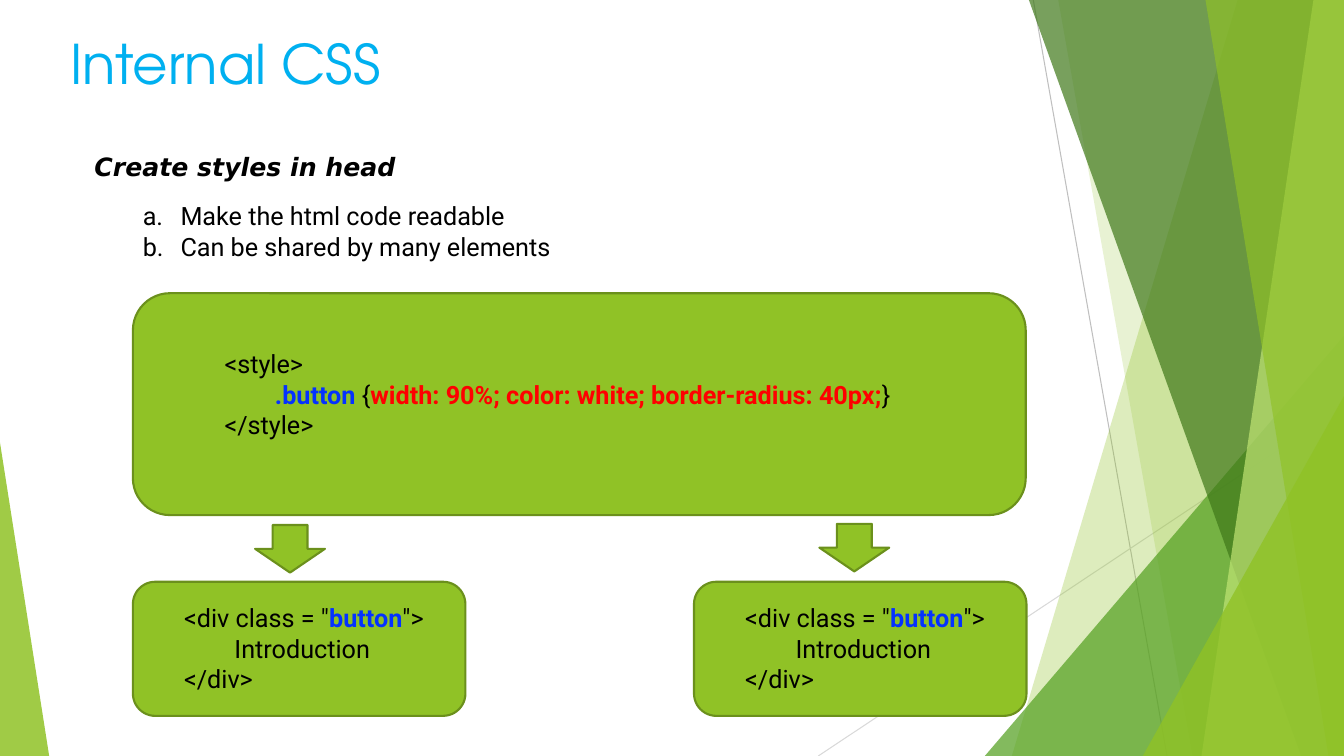
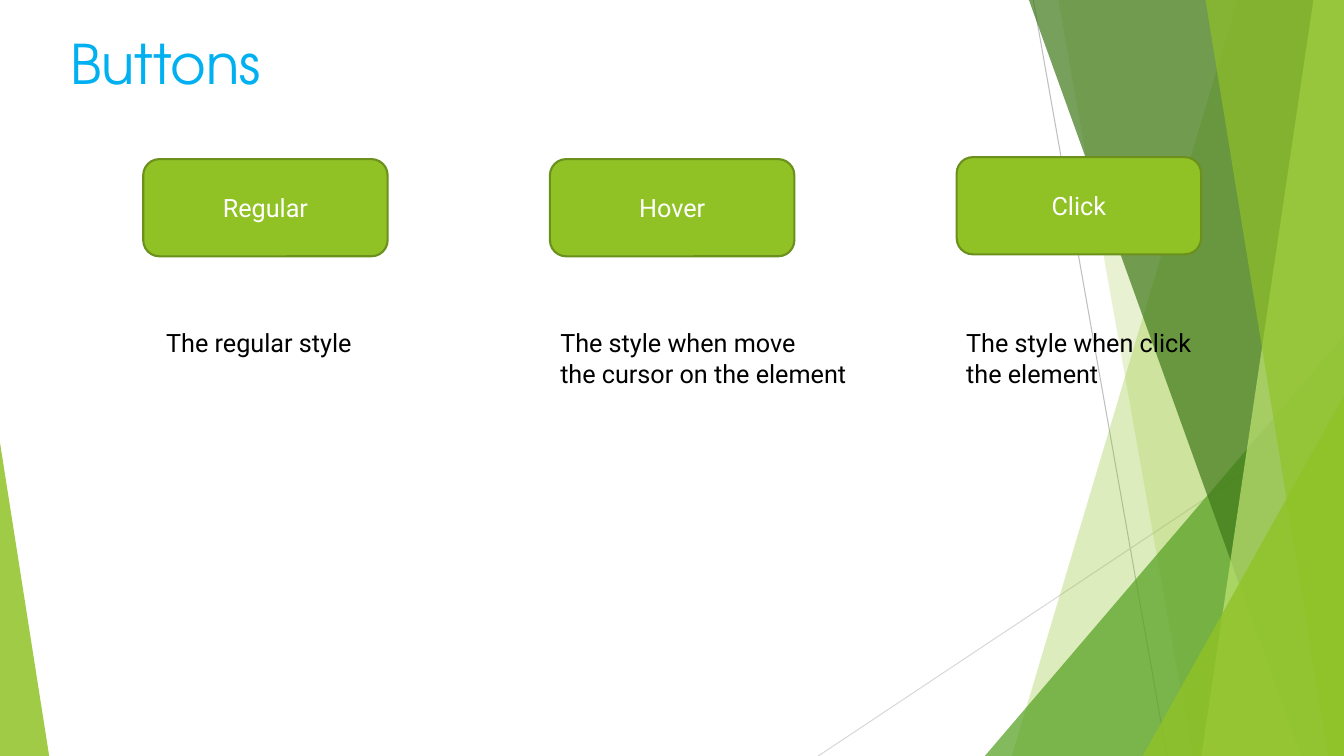
from lxml import etree
from pptx import Presentation
from pptx.dml.color import RGBColor
from pptx.enum.shapes import MSO_CONNECTOR, MSO_SHAPE
from pptx.enum.text import MSO_ANCHOR, PP_ALIGN
from pptx.oxml.ns import qn
from pptx.util import Cm, Pt

ROUND = MSO_SHAPE.ROUNDED_RECTANGLE
ARROW = MSO_SHAPE.DOWN_ARROW
WEDGE = MSO_SHAPE.ISOSCELES_TRIANGLE
STRAIGHT = MSO_CONNECTOR.STRAIGHT
TOP, MIDDLE = MSO_ANCHOR.TOP, MSO_ANCHOR.MIDDLE
LEFT, CENTER = PP_ALIGN.LEFT, PP_ALIGN.CENTER

WIDE, HIGH = 33.87, 19.05
TAB = 1.27
COLORS = {
    "lime": "90C226", "edge": "6B901C", "leaf": "54A021", "moss": "3F7819",
    "pale": "C0E474", "gray": "BFBFBF", "mist": "D9D9D9", "sky": "00B0F0",
    "blue": "0432FF", "red": "FF0000", "black": "000000", "white": "FFFFFF",
}
RGB = {name: RGBColor.from_string(code) for name, code in COLORS.items()}


def paint(shape, fill="lime", edge=None, alpha=100):
    """Fill a shape, with an outline or some transparency."""
    shape.shadow.inherit = False
    shape.fill.solid()
    shape.fill.fore_color.rgb = RGB[fill]
    if alpha < 100:
        tint = shape._element.spPr.find(".//" + qn("a:srgbClr"))
        etree.SubElement(tint, qn("a:alpha"), val=str(alpha * 1000))
    if edge:
        shape.line.color.rgb = RGB[edge]
        shape.line.width = Pt(1.5)
    else:
        shape.line.fill.background()


def write(shape, lines, size=18, font="Roboto", color="black", bold=False,
          italic=False, align=LEFT, anchor=TOP, inset=(), letters=False):
    """Write lines of runs; a (text, color) run is bold, inset lines are indented."""
    frame = shape.text_frame
    frame.word_wrap = True
    frame.vertical_anchor = anchor
    for i, line in enumerate(lines):
        para = frame.add_paragraph() if i else frame.paragraphs[0]
        para.alignment = align
        props = para._p.get_or_add_pPr()
        if i in inset:
            props.set("marL", str(Cm(TAB)))
        if letters:
            props.set("marL", str(Cm(0.95)))
            props.set("indent", str(-Cm(0.95)))
            etree.SubElement(props, qn("a:buFont"), typeface=font)
            etree.SubElement(props, qn("a:buAutoNum"), type="alphaLcPeriod")
        for part in [line] if isinstance(line, str) else line:
            plain = isinstance(part, str)
            run = para.add_run()
            run.text = part if plain else part[0]
            run.font.size = Pt(size)
            run.font.name = font
            run.font.bold = bold if plain else True
            run.font.italic = italic
            run.font.color.rgb = RGB[color if plain else part[1]]


deck = Presentation()
deck.slide_width, deck.slide_height = Cm(WIDE), Cm(HIGH)

# Backdrop: lines, then blades (top x, foot x) and wedges (x, y, width, peak)
RAYS = [((26.04, 0, 29.41, HIGH), "gray"), ((WIDE, 10.24, 20.62, HIGH), "mist")]
SHARDS = [
    ((31.19, 25.5), "lime", 30),
    ((26.67, 30.05), "lime", 20),
    ((24.82, 8.46, 9.05, 1), "leaf", 72),
    ((25.93, 32.79), "moss", 70),
    ((33.1, 30.28), "pale", 70),
    ((30.38, 33.48), "lime", 65),
    ((28.8, 9.98, 5.07, 1), "lime", 80),
    ((0, 11.15, 1.24, 0), "lime", 85),
]

# Backdrop and title of every slide
pages = []
for title in ("Internal CSS", "Buttons"):
    page = deck.slides.add_slide(deck.slide_layouts[6]).shapes
    pages.append(page)
    for ends, color in RAYS:
        ray = page.add_connector(STRAIGHT, *map(Cm, ends))
        ray.line.color.rgb = RGB[color]
        ray.line.width = Pt(0.75)
        etree.SubElement(ray._element.spPr, qn("a:effectLst"))
    for form, color, alpha in SHARDS:
        if len(form) == 2:
            top, foot = form
            pen = page.build_freeform(Cm(top), 0)
            pen.add_line_segments([(Cm(WIDE), 0), (Cm(WIDE), Cm(HIGH)),
                                   (Cm(foot), Cm(HIGH))], close=True)
            shard = pen.convert_to_shape()
        else:
            x, y, width, peak = form
            shard = page.add_shape(WEDGE, Cm(x), Cm(y), Cm(width), Cm(HIGH - y))
            shard.adjustments[0] = peak
        paint(shard, color, alpha=alpha)
    write(page.add_textbox(Cm(1.52), Cm(-0.25), Cm(28.4), Cm(3.66)), [title],
          size=39, font="TeX Gyre Adventor", color="sky", anchor=MIDDLE)

css, states = pages

# Internal CSS: heading and reasons
write(css.add_textbox(Cm(2.13), Cm(3.68), Cm(16.94), Cm(1.02)),
      ["Create styles in head"], font="DejaVu Sans", bold=True, italic=True)
write(css.add_textbox(Cm(3.35), Cm(4.93), Cm(11), Cm(1.8)),
      ["Make the html code readable", "Can be shared by many elements"],
      letters=True)

# Style rule
paint(css.add_shape(ROUND, Cm(3.35), Cm(7.39), Cm(22.5), Cm(5.59)), edge="edge")
write(css.add_textbox(Cm(5.41), Cm(8.66), Cm(19.13), Cm(2.57)),
      ["<style>",
       [(".button ", "blue"), "{",
        ("width: 90%; color: white; border-radius: 40px;", "red"), "}"],
       "</style>"], inset=[1])

# The two elements that share the rule, each under its arrow
for x, tip, y in ((3.35, 6.43, 13.23), (17.49, 20.65, 13.2)):
    paint(css.add_shape(ROUND, Cm(x), Cm(14.66), Cm(8.38), Cm(3.38)), edge="edge")
    write(css.add_textbox(Cm(x + 1.04), Cm(15.06), Cm(8.15), Cm(2.57)),
          [['<div class = "', ("button", "blue"), '">'], "Introduction", "</div>"],
          inset=[1])
    paint(css.add_shape(ARROW, Cm(tip), Cm(y), Cm(1.76), Cm(1.2)), edge="edge")

# Buttons: each state above its meaning
STATES = [
    ("Regular", 4.01, 3.94, 5.5, ["The regular style"]),
    ("Hover", 4.01, 13.87, 8.2, ["The style when move", "the cursor on the element"]),
    ("Click", 3.96, 24.1, 6.6, ["The style when click", "the element"]),
]
for i, (name, y, x, width, lines) in enumerate(STATES):
    button = states.add_shape(ROUND, Cm(3.61 + i * 10.25), Cm(y), Cm(6.16), Cm(2.45))
    paint(button, edge="edge")
    write(button, [name], color="white", align=CENTER, anchor=MIDDLE)
    write(states.add_textbox(Cm(x), Cm(8.13), Cm(width), Cm(1.8)), lines)

deck.save("out.pptx")
